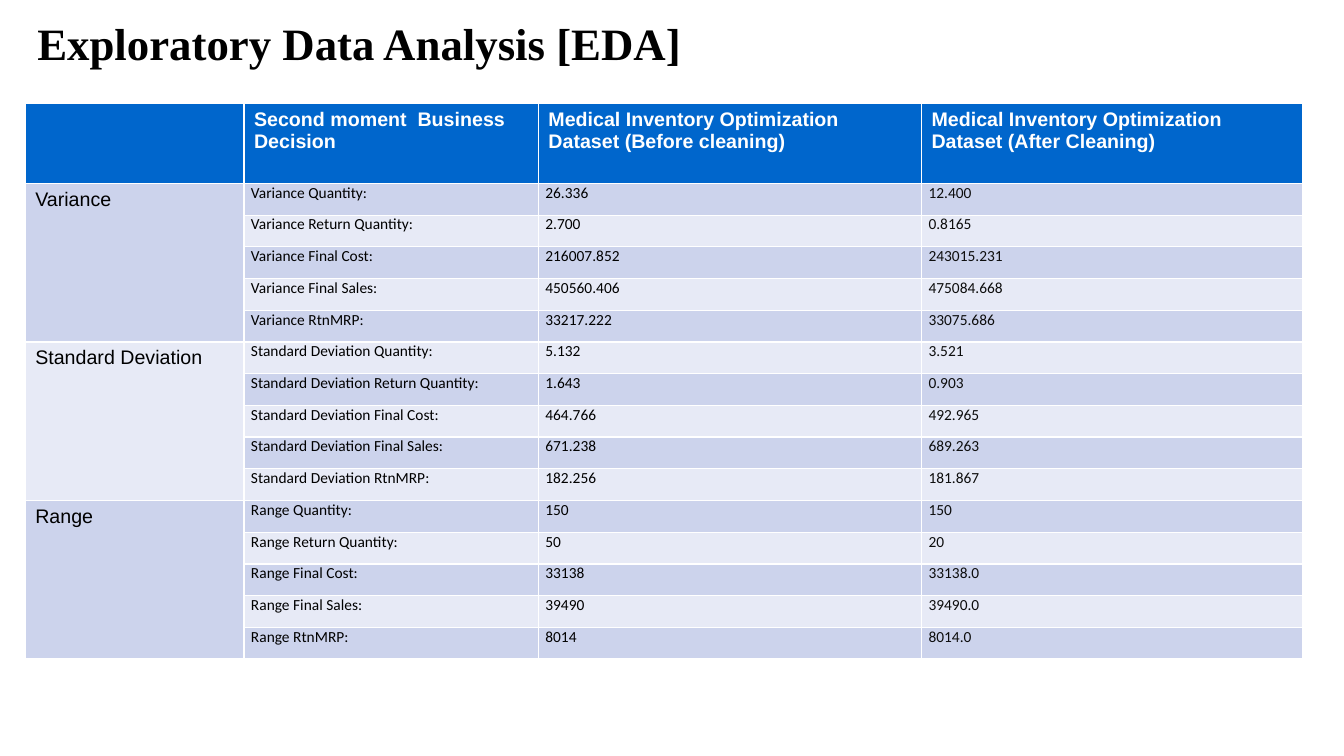
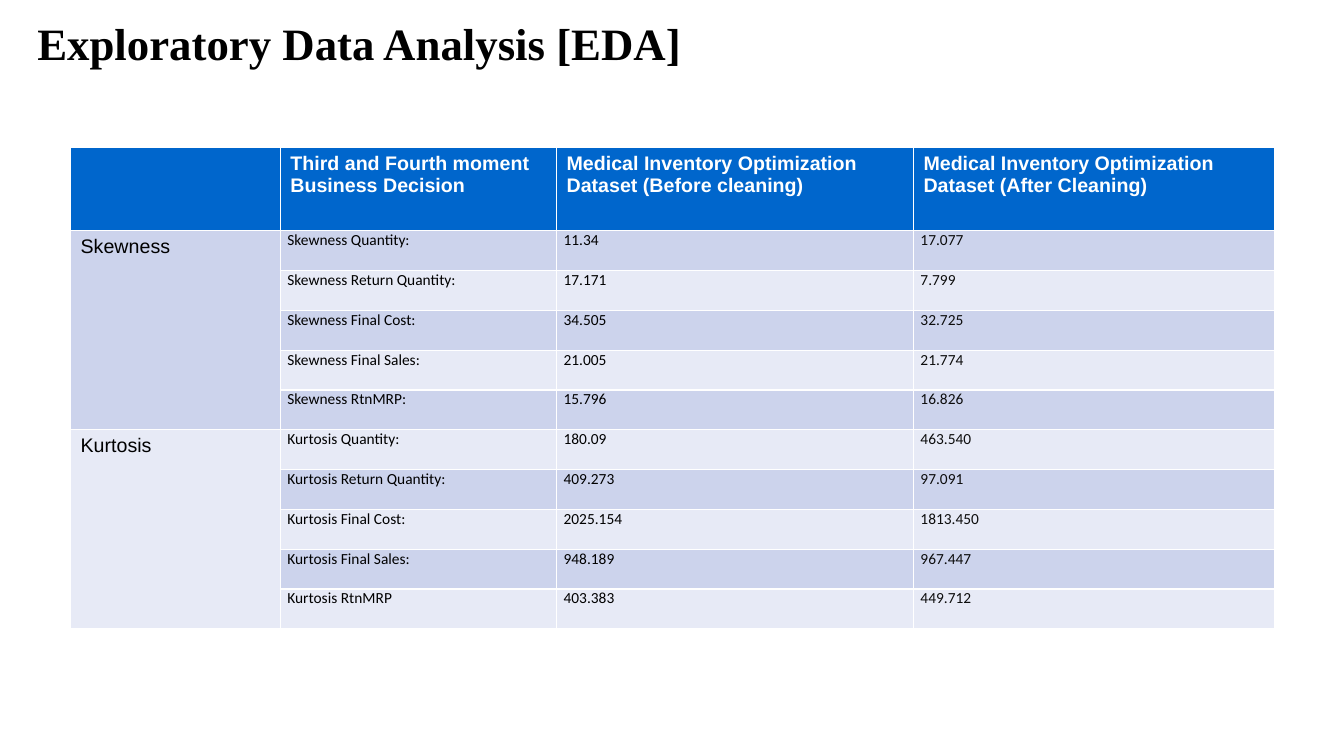
from pptx import Presentation
from pptx.dml.color import RGBColor
from pptx.enum.text import MSO_ANCHOR, MSO_AUTO_SIZE, PP_ALIGN
from pptx.util import Inches, Pt

BLUE = RGBColor(0x00, 0x66, 0xCC)
BANDS = RGBColor(0xCC, 0xD3, 0xEC), RGBColor(0xE7, 0xEA, 0xF6)
WHITE = RGBColor(0xFF, 0xFF, 0xFF)
BLACK = RGBColor(0x00, 0x00, 0x00)
DARK = RGBColor(0x0D, 0x0D, 0x0D)

TITLE = "Exploratory Data Analysis [EDA]"
DATASETS = ("Medical Inventory Optimization Dataset (Before cleaning)",
            "Medical Inventory Optimization Dataset (After Cleaning)")
MEASURES = ("Quantity:", "Return Quantity:", "Final Cost:", "Final Sales:", "RtnMRP:")

# Each group: name, measures, values before cleaning, values after cleaning
SECOND_MOMENT = [
    ("Variance", MEASURES,
     ("26.336", "2.700", "216007.852", "450560.406", "33217.222"),
     ("12.400", "0.8165", "243015.231", "475084.668", "33075.686")),
    ("Standard Deviation", MEASURES,
     ("5.132", "1.643", "464.766", "671.238", "182.256"),
     ("3.521", "0.903", "492.965", "689.263", "181.867")),
    ("Range", MEASURES,
     ("150", "50", "33138", "39490", "8014"),
     ("150", "20", "33138.0", "39490.0", "8014.0")),
]
HIGHER_MOMENTS = [
    ("Skewness", MEASURES,
     ("11.34", "17.171", "34.505", "21.005", "15.796"),
     ("17.077", "7.799", "32.725", "21.774", "16.826")),
    ("Kurtosis", MEASURES[:-1] + ("RtnMRP",),
     ("180.09", "409.273", "2025.154", "948.189", "403.383"),
     ("463.540", "97.091", "1813.450", "967.447", "449.712")),
]


class Deck:
    def __init__(self):
        self.prs = Presentation()
        self.prs.slide_width, self.prs.slide_height = Inches(13.33), Inches(7.5)
        self.s = None

    def add_text(self, tf, text, size, color, font="Arial", bold=False):
        p = tf.paragraphs[0]
        r = p.add_run()
        r.text = text
        r.font.name, r.font.size, r.font.bold = font, Pt(size), bold
        r.font.color.rgb = color
        return p

    def slide(self, title):
        """Start a slide with the shared title style."""
        self.s = self.prs.slides.add_slide(self.prs.slide_layouts[5])
        sp = self.s.shapes.title
        sp.left, sp.top, sp.width, sp.height = map(Inches, (0.27, 0.16, 10.11, 0.59))
        tf = sp.text_frame
        tf.word_wrap, tf.vertical_anchor = True, MSO_ANCHOR.MIDDLE
        tf.auto_size = MSO_AUTO_SIZE.SHAPE_TO_FIT_TEXT
        p = self.add_text(tf, title, 32, BLACK, "Times New Roman", True)
        p.alignment, p.line_spacing = PP_ALIGN.LEFT, 0.9

    def body_cell(self, cell, text, color):
        cell.margin_left = cell.margin_right = Inches(0.07)
        cell.margin_top = cell.margin_bottom = 0
        self.add_text(cell.text_frame, text, 11, color, "Calibri")

    def moments_table(self, left, top, widths, header_height, body_height, heading, groups):
        """Draw a banded table whose first column spans each group's measures."""
        count = sum(len(measures) for _, measures, _, _ in groups)
        frame = self.s.shapes.add_table(
            count + 1, len(widths), Inches(left), Inches(top),
            Inches(sum(widths)), Inches(header_height + body_height))
        table = frame.table
        for column, width in zip(table.columns, widths):
            column.width = Inches(width)
        for i, row in enumerate(table.rows):
            row.height = Inches(body_height / count if i else header_height)
            for cell in row.cells:
                cell.fill.solid()
                cell.fill.fore_color.rgb = BANDS[(i - 1) % 2] if i else BLUE

        for col, text in enumerate((heading, *DATASETS), 1):
            self.add_text(table.cell(0, col).text_frame, text, 14, WHITE, bold=True)

        first = 1
        for name, measures, before, after in groups:
            last = first + len(measures) - 1
            table.cell(first, 0).merge(table.cell(last, 0))
            self.add_text(table.cell(first, 0).text_frame, name, 14, BLACK)
            for i, (measure, old, new) in enumerate(zip(measures, before, after), first):
                self.body_cell(table.cell(i, 1), f"{name} {measure}", BLACK)
                self.body_cell(table.cell(i, 2), old, BLACK)
                self.body_cell(table.cell(i, 3), new, DARK)
            first = last + 1


def main():
    deck = Deck()
    deck.slide(TITLE)
    deck.moments_table(0.25, 1.03, (2.17, 2.92, 3.8, 3.78), 0.79, 4.72,
                       "Second moment  Business Decision", SECOND_MOMENT)
    deck.slide(TITLE)
    deck.moments_table(0.7, 1.46, (2.08, 2.74, 3.54, 3.58), 0.83, 3.95,
                       "Third and Fourth moment  Business Decision", HIGHER_MOMENTS)
    deck.prs.save("out.pptx")


if __name__ == "__main__":
    main()
